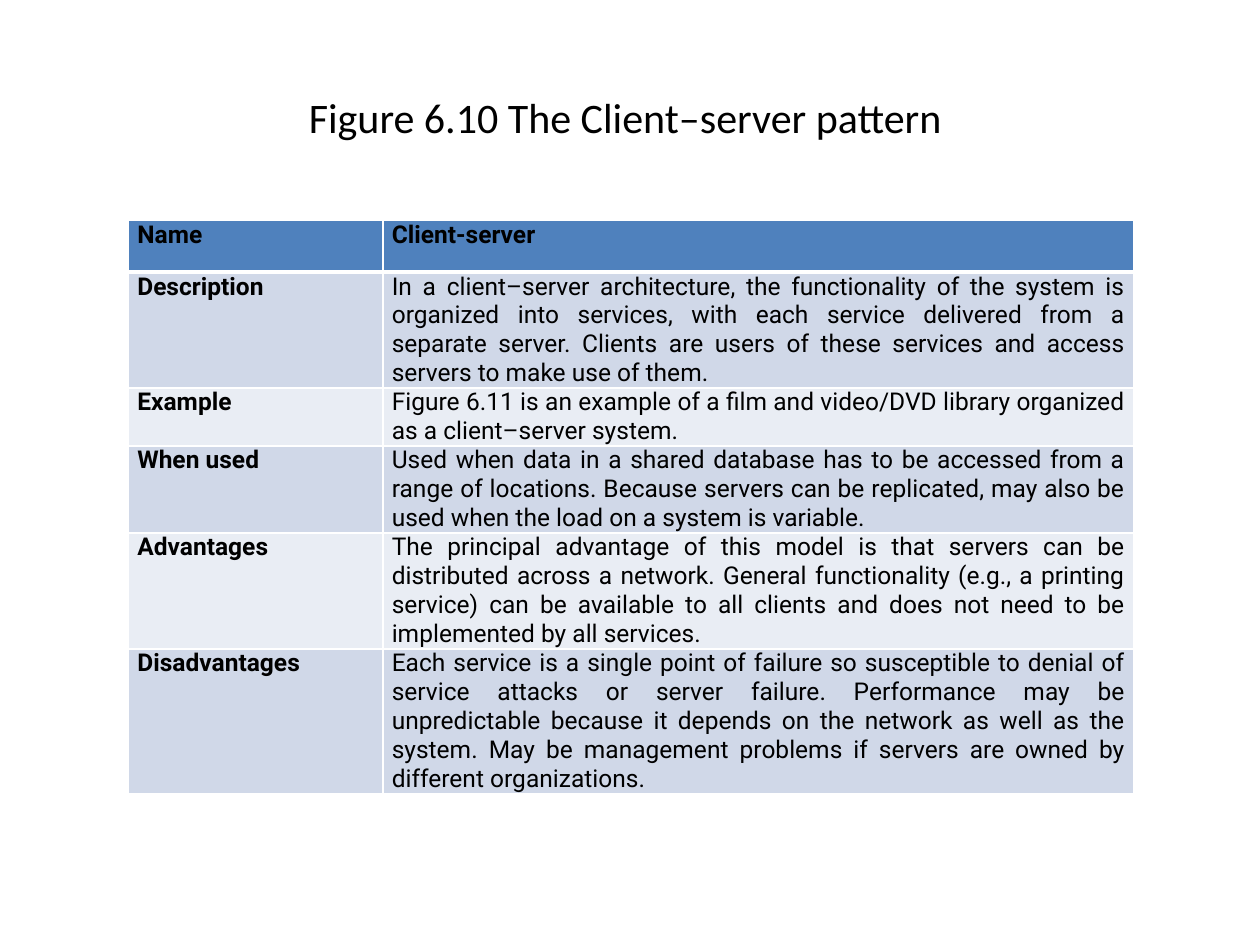
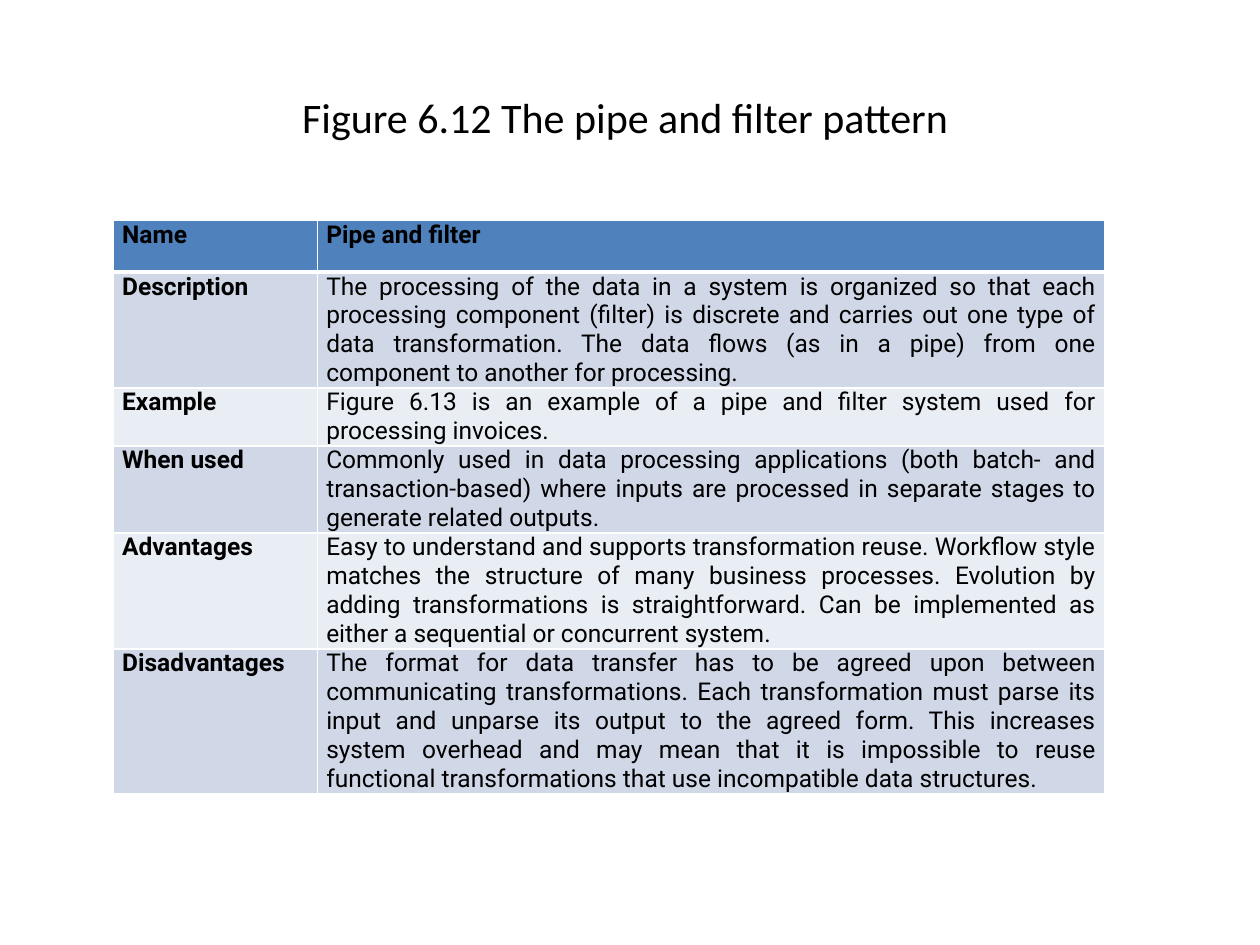
from lxml.etree import SubElement
from pptx import Presentation
from pptx.dml.color import RGBColor
from pptx.enum.text import MSO_ANCHOR, PP_ALIGN
from pptx.oxml.ns import qn
from pptx.util import Inches, Pt

# Shared look
BLACK = RGBColor(0x00, 0x00, 0x00)
WHITE = RGBColor(0xFF, 0xFF, 0xFF)
HEADER = RGBColor(0x4F, 0x81, 0xBD)
BANDS = [RGBColor(0xE9, 0xED, 0xF4), RGBColor(0xD0, 0xD8, 0xE8)]
TITLE_FONT = dict(name="Calibri", size=Pt(24), bold=False)
CELL_FONT = dict(name="Roboto", size=Pt(14))
MARGINS = dict(margin_left=Inches(0.07), margin_right=Inches(0.07),
               margin_top=0, margin_bottom=0)
HEADER_BORDERS = dict(lnL=1, lnR=1, lnT=1, lnB=3)
TABLE_TOP, TABLE_HEIGHT, ROW_HEIGHT = Inches(1.75), Inches(4.61), Inches(0.41)

LABELS = ["Name", "Description", "Example", "When used", "Advantages",
          "Disadvantages"]

# One entry per slide: title, table left, column widths, second column
PATTERNS = [
    ("Figure 6.10 The Client–server pattern ", 1.02, (2.02, 5.96), [
        "Client-server",
        "In a client–server architecture, the functionality of the system is "
        "organized into services, with each service delivered from a separate "
        "server. Clients are users of these services and access servers to "
        "make use of them.",
        "Figure 6.11 is an example of a film and video/DVD library organized "
        "as a client–server system.",
        "Used when data in a shared database has to be accessed from a range "
        "of locations. Because servers can be replicated, may also be used "
        "when the load on a system is variable.",
        "The principal advantage of this model is that servers can be "
        "distributed across a network. General functionality (e.g., a "
        "printing service) can be available to all clients and does not need "
        "to be implemented by all services. ",
        "Each service is a single point of failure so susceptible to denial "
        "of service attacks or server failure. Performance may be "
        "unpredictable because it depends on the network as well as the "
        "system. May be management problems if servers are owned by different "
        "organizations.",
    ]),
    ("Figure 6.12 The pipe and filter pattern ", 0.9, (1.62, 6.25), [
        "Pipe and filter",
        "The processing of the data in a system is organized so that each "
        "processing component (filter) is discrete and carries out one type "
        "of data transformation. The data flows (as in a pipe) from one "
        "component to another for processing. ",
        "Figure 6.13 is an example of a pipe and filter system used for "
        "processing invoices.",
        "Commonly used in data processing applications (both batch- and "
        "transaction-based) where inputs are processed in separate stages to "
        "generate related outputs.",
        "Easy to understand and supports transformation reuse. Workflow style "
        "matches the structure of many business processes. Evolution by "
        "adding transformations is straightforward. Can be implemented as "
        "either a sequential or concurrent system.",
        "The format for data transfer has to be agreed upon between "
        "communicating transformations. Each transformation must parse its "
        "input and unparse its output to the agreed form. This increases "
        "system overhead and may mean that it is impossible to reuse "
        "functional transformations that use incompatible data structures.",
    ]),
]


def write(tf, text, align, fmt):
    p = tf.paragraphs[0]
    p.alignment = align
    r = p.add_run()
    r.text = text
    r.font.color.rgb = BLACK
    for key, value in fmt.items():
        setattr(r.font, key, value)


def add_borders(cell, borders):
    tc_pr = cell._tc.get_or_add_tcPr()
    for side, width in borders.items():
        ln = SubElement(tc_pr, qn(f"a:{side}"), w=str(Pt(width)))
        fill = SubElement(ln, qn("a:solidFill"))
        SubElement(fill, qn("a:srgbClr"), val=str(WHITE))


prs = Presentation()
prs.slide_width, prs.slide_height = Inches(10), Inches(7.5)

for title, left, widths, texts in PATTERNS:
    s = prs.slides.add_slide(prs.slide_layouts[5])

    # Title
    sp = s.shapes.title
    sp.left, sp.top = Inches(0.5), Inches(0.3)
    sp.width, sp.height = Inches(9), Inches(1.25)
    sp.text_frame.vertical_anchor = MSO_ANCHOR.MIDDLE
    write(sp.text_frame, title, PP_ALIGN.CENTER, TITLE_FONT)

    # Pattern table; rows grow to fit their text
    frame = s.shapes.add_table(len(LABELS), 2, Inches(left), TABLE_TOP,
                               Inches(sum(widths)), TABLE_HEIGHT)
    table = frame.table
    for column, width in zip(table.columns, widths):
        column.width = Inches(width)
    for i, row in enumerate(table.rows):
        row.height = ROW_HEIGHT
        for j, (cell, text) in enumerate(zip(row.cells, (LABELS[i], texts[i]))):
            for key, value in MARGINS.items():
                setattr(cell, key, value)
            if i == 0:
                add_borders(cell, HEADER_BORDERS)
            cell.fill.solid()
            cell.fill.fore_color.rgb = HEADER if i == 0 else BANDS[i % 2]
            write(cell.text_frame, text, PP_ALIGN.JUSTIFY,
                  dict(CELL_FONT, bold=i == 0 or j == 0))
    frame.height = TABLE_HEIGHT

prs.save("out.pptx")
